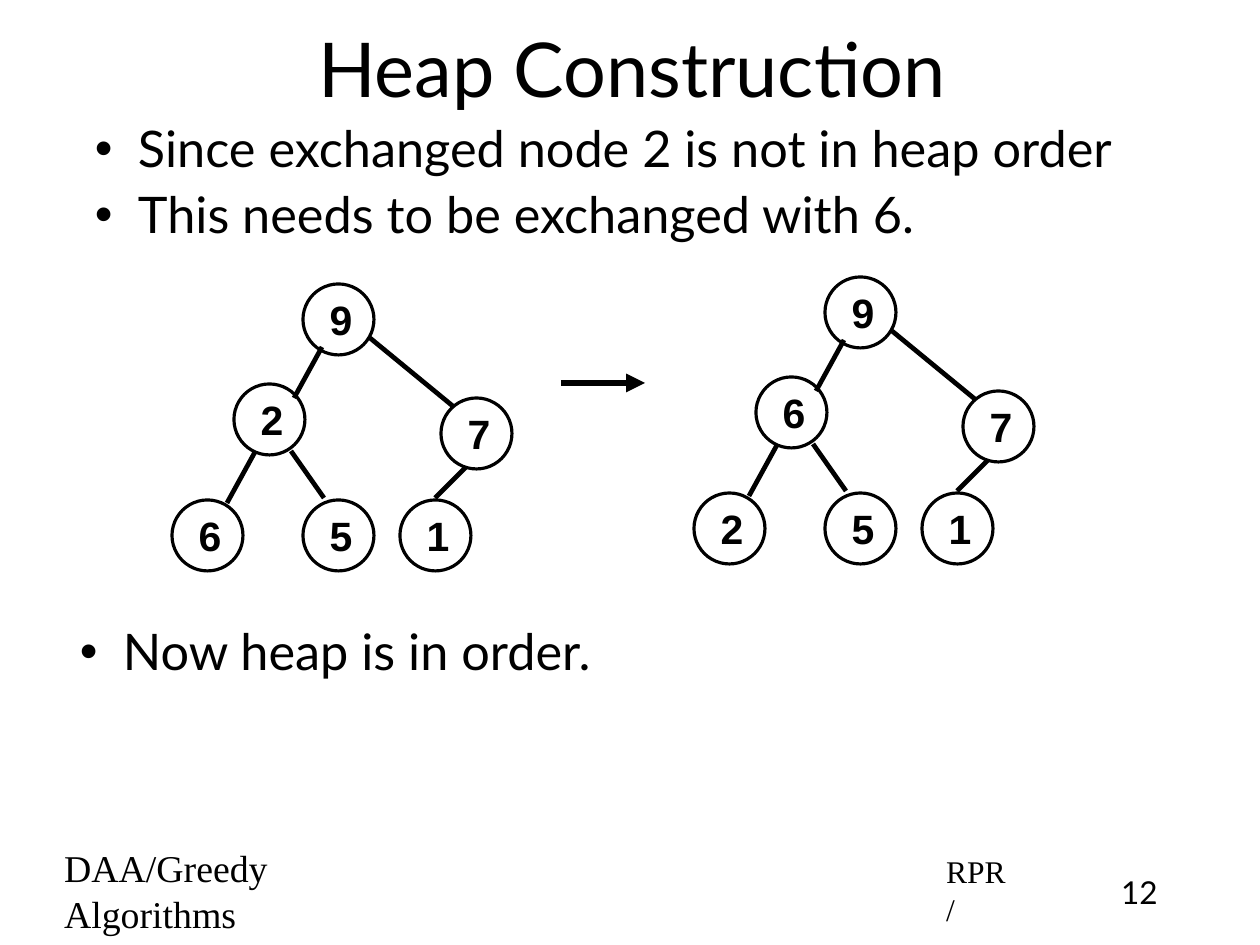
from dataclasses import dataclass
from typing import NamedTuple

from lxml.etree import SubElement
from pptx import Presentation
from pptx.dml.color import RGBColor
from pptx.enum.shapes import MSO_CONNECTOR, MSO_SHAPE
from pptx.enum.text import MSO_ANCHOR, PP_ALIGN
from pptx.oxml.ns import qn
from pptx.util import Emu, Pt

SCALE = 914400 / 113.4  # EMU per pixel


def px(n: int) -> Emu:
    return Emu(round(n * SCALE))


@dataclass(frozen=True)
class Theme:
    ink: RGBColor = RGBColor(0, 0, 0)
    paper: RGBColor = RGBColor(255, 255, 255)
    heading: str = "Lato"
    node: str = "Arial"
    footer: str = "Times New Roman"
    title_size: int = 48
    body_size: int = 32
    node_size: int = 26
    footer_size: int = 24
    small_size: int = 20
    outline: int = 2
    edge: int = 3
    arrow: int = 4


class Point(NamedTuple):
    x: int
    y: int


class Edge(NamedTuple):
    start: Point
    end: Point


class Box(NamedTuple):
    x: int
    y: int
    w: int
    h: int


@dataclass(frozen=True)
class Label:
    box: Box
    lines: tuple[str, ...]
    size: int
    font: str
    align: PP_ALIGN = PP_ALIGN.LEFT
    anchor: MSO_ANCHOR = MSO_ANCHOR.MIDDLE
    indent: int = 5
    bullet: bool = False


@dataclass(frozen=True)
class Tree:
    origin: Point
    values: str  # level order


T = Theme()
INSET, NODE, BULLET_INDENT, BULLET_HANG = 7, 71, 48, -43

# Tree geometry, relative to the tree's origin, nodes in level order
NODES = (Point(131, 0), Point(62, 100), Point(269, 114),
         Point(0, 216), Point(131, 216), Point(228, 216))
EDGES = (Edge(Point(122, 114), Point(150, 63)),
         Edge(Point(282, 123), Point(198, 54)),
         Edge(Point(55, 219), Point(83, 168)),
         Edge(Point(152, 214), Point(119, 167)),
         Edge(Point(263, 214), Point(294, 183)))
TREES = (Tree(Point(172, 284), "927651"), Tree(Point(694, 277), "967251"))
STEP_ARROW = Edge(Point(561, 383), Point(645, 383))


def bullets(box: Box, *lines: str) -> Label:
    return Label(box, lines, T.body_size, T.heading,
                 anchor=MSO_ANCHOR.TOP, bullet=True)


LABELS = (
    Label(Box(94, 8, 1071, 118), ("Heap Construction",), T.title_size,
          T.heading, PP_ALIGN.CENTER),
    bullets(Box(83, 117, 1123, 160),
            "Since exchanged node 2 is not in heap order",
            "This needs to be exchanged with 6."),
    bullets(Box(68, 620, 1123, 81), "Now heap is in order."),
    Label(Box(52, 864, 390, 53), ("DAA/Greedy Algorithms",),
          T.footer_size, T.footer),
    Label(Box(934, 866, 84, 48), ("RPR/",), T.small_size, T.footer),
    Label(Box(1102, 866, 75, 48), ("12",), T.small_size, T.heading,
          PP_ALIGN.CENTER, MSO_ANCHOR.TOP, indent=0),
)


def apply(target: object, formats: dict[str, object]) -> None:
    for name, value in formats.items():
        setattr(target, name, value)


def write(sp, label: Label, bold: bool = False) -> None:
    tf = sp.text_frame
    apply(tf, {"word_wrap": True, "vertical_anchor": label.anchor,
               **{f"margin_{side}": px(INSET)
                  for side in ("left", "right", "top", "bottom")}})
    for i, line in enumerate(label.lines):
        p = tf.add_paragraph() if i else tf.paragraphs[0]
        p.alignment = label.align
        pPr = p._p.get_or_add_pPr()
        pPr.set("marL", str(px(BULLET_INDENT if label.bullet else label.indent)))
        pPr.set("indent", str(px(BULLET_HANG if label.bullet else 0)))
        if label.bullet:
            apply(p, {"line_spacing": 0.9, "space_before": Pt(7)})
            SubElement(pPr, qn("a:buFont")).set("typeface", "Arial")
            SubElement(pPr, qn("a:buChar")).set("char", "•")
        r = p.add_run()
        r.text = line
        apply(r.font, {"name": label.font, "size": Pt(label.size), "bold": bold})
        r.font.color.rgb = T.ink


def add_label(shapes, label: Label) -> None:
    write(shapes.add_textbox(*map(px, label.box)), label)


def add_node(shapes, at: Point, value: str) -> None:
    box = Box(at.x, at.y, NODE, NODE)
    sp = shapes.add_shape(MSO_SHAPE.OVAL, *map(px, box))
    sp.shadow.inherit = False
    sp.fill.background()
    sp.line.color.rgb = T.ink
    sp.line.width = Pt(T.outline)
    write(sp, Label(box, (value,), T.node_size, T.node, PP_ALIGN.CENTER),
          bold=True)


def add_line(shapes, edge: Edge, width: int, arrow: bool = False) -> None:
    cx = shapes.add_connector(MSO_CONNECTOR.STRAIGHT,
                              *map(px, edge.start + edge.end))
    cx.line.color.rgb = T.ink
    cx.line.width = Pt(width)
    if arrow:
        SubElement(cx.line._get_or_add_ln(), qn("a:tailEnd")).set("type", "triangle")
    SubElement(cx._element.spPr, qn("a:effectLst"))


def add_tree(shapes, tree: Tree) -> None:
    def place(at: Point) -> Point:
        return Point(tree.origin.x + at.x, tree.origin.y + at.y)

    for at, value in zip(NODES, tree.values):
        add_node(shapes, place(at), value)
    for edge in EDGES:
        add_line(shapes, Edge(place(edge.start), place(edge.end)), T.edge)


# Slide
prs = Presentation()
apply(prs, {"slide_width": px(1260), "slide_height": px(945)})
slide = prs.slides.add_slide(prs.slide_layouts[6])
slide.background.fill.solid()
slide.background.fill.fore_color.rgb = T.paper

# Title, bullets and footer
for label in LABELS:
    add_label(slide.shapes, label)

# Heap before and after the exchange
add_line(slide.shapes, STEP_ARROW, T.arrow, arrow=True)
for tree in TREES:
    add_tree(slide.shapes, tree)

prs.save("out.pptx")
